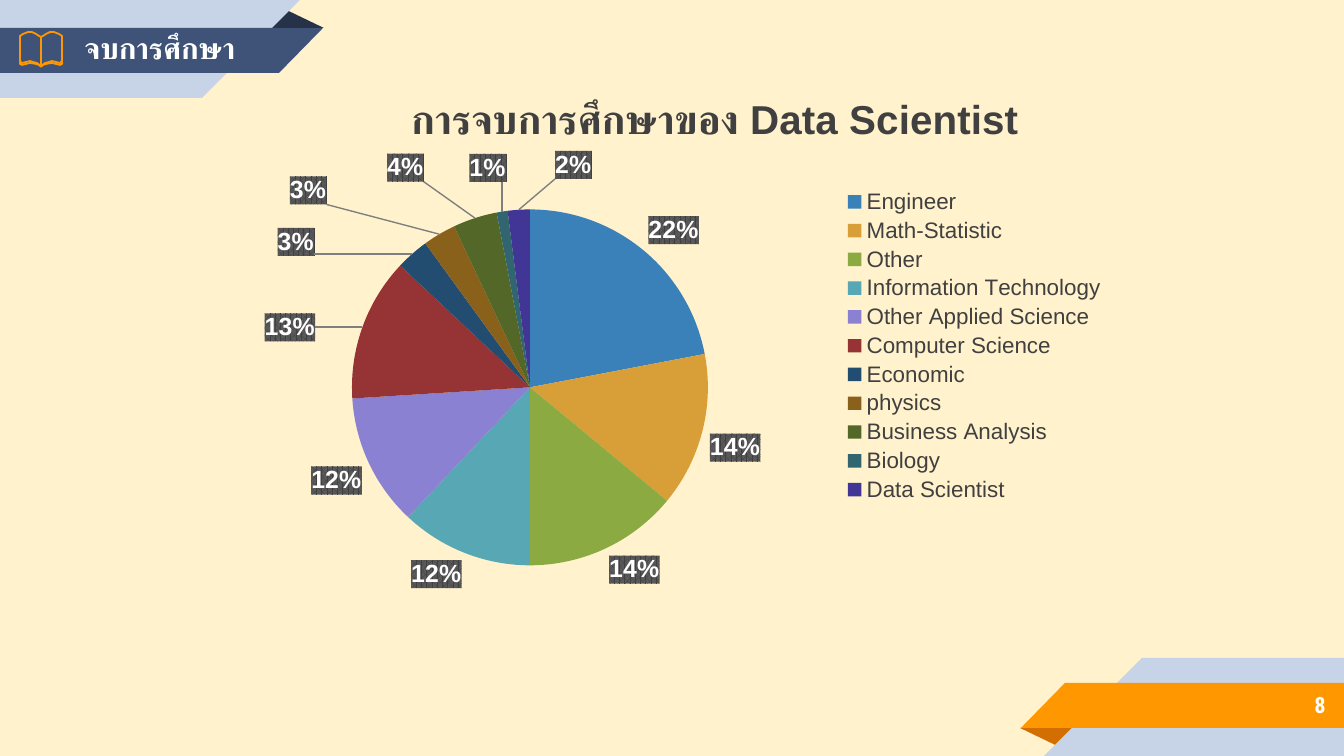
from copy import deepcopy

from lxml import etree
from pptx import Presentation
from pptx import util as u
from pptx.chart.data import CategoryChartData
from pptx.dml.color import RGBColor
from pptx.enum import chart as ch
from pptx.enum import shapes, text
from pptx.oxml import parse_xml
from pptx.oxml.ns import nsdecls, qn

PX = 914400 / 134.4
WIDE, HIGH = 1344, 756
FRAME = (224, 79, 896, 534)
HUES = {"cream": "FFF2CC", "pale": "C7D3E6", "navy": "3F5378", "night": "263248",
        "orange": "FF9800", "rust": "D26F00", "white": "FFFFFF", "ink": "404040",
        "grey": "595959", "lead": "7F7F7F", "black": "000000"}
DEGREES = [("Engineer", 22, "3A81BA"), ("Math-Statistic", 14, "D89F39"),
           ("Other", 14, "8BAB42"), ("Information Technology", 12, "57A7B5"),
           ("Other Applied Science", 12, "8B81D2"), ("Computer Science", 13, "963334"),
           ("Economic", 3, "234D70"), ("physics", 3, "89611B"),
           ("Business Analysis", 4, "536728"), ("Biology", 1, "316670"),
           ("Data Scientist", 2, "413696")]
SHIFTS = {5: (-40, 17), 6: (-93, 8), 7: (-109, -23), 8: (-49, -29), 9: (5, -22), 10: (55, -23)}
PAGE = [(0, 37), (0, 66), (-4, 63), (-8, 62), (-11, 61), (-15, 62), (-19, 63), (-21, 61),
        (-21, 36), (-18, 34), (-13, 32), (-9, 32), (-5, 34), (-2, 36)]
COVER = [(-21, 62), (-21, 64), (-19, 65), (-11, 63), (-5, 64), (-2, 65), (0, 67)]


def px(*nums):
    """Turn px lengths into EMU."""
    return [u.Emu(round(n * PX)) for n in nums]


def hue(name):
    """Give the colour for a name or a hex string."""
    return RGBColor.from_string(HUES.get(name, name))


def style(font, size, color, bold=False, face="Arial"):
    """Set size, colour, weight and face of a font."""
    font.size, font.bold, font.name = u.Pt(size), bold, face
    font.color.rgb = hue(color)


def write(frame, words, size, side, face="Arial"):
    """Write one bold white run into a text frame."""
    frame.word_wrap, frame.auto_size = True, text.MSO_AUTO_SIZE.NONE
    frame.vertical_anchor = text.MSO_ANCHOR.MIDDLE
    frame.margin_left = frame.margin_right = u.Inches(0.1)
    frame.margin_top = frame.margin_bottom = u.Inches(0.1)
    para = frame.paragraphs[0]
    para.alignment = side
    run = para.add_run()
    run.text = words
    style(run.font, size, "white", True, face)


def block(slide, kind, box, color, turn=0, flip=False):
    """Add a plain filled preset shape."""
    shape = slide.shapes.add_shape(kind, *px(*box))
    shape.shadow.inherit = False
    shape.fill.solid()
    shape.fill.fore_color.rgb = hue(color)
    shape.line.fill.background()
    shape.rotation = turn
    if flip:
        shape._element.spPr.xfrm.set("flipH", "1")
    return shape


def ribbon(slide, band, fold, end):
    """Add a folded ribbon at the top left or, mirrored, at the bottom right."""
    def spot(x, y, w, h):
        """Mirror a box for the bottom ribbon."""
        return (WIDE - x - w, HIGH - y - h, w, h) if end else (x, y, w, h)

    kind = shapes.MSO_SHAPE
    corner = block(slide, kind.ISOSCELES_TRIANGLE, spot(266, 9, 58, 19), fold, 180 if end else 0)
    corner.adjustments[0] = 0.32
    for top, long, tall, tip, color in ((0, 202, 98, 98, "pale"), (28, 279, 45, 44, band)):
        block(slide, kind.RECTANGLE, spot(0, top, long, tall), color)
        block(slide, kind.RIGHT_TRIANGLE, spot(long, top, tip, tall), color,
              0 if end else 180, True)


def book(slide):
    """Draw the outline of an open book."""
    for points, close in ((COVER, False), (PAGE, True)):
        for side in (1, -1):
            dots = [(41 + side * x, y) for x, y in points]
            pen = slide.shapes.build_freeform(*dots[0], scale=PX)
            pen.add_line_segments(dots[1:], close=close)
            shape = pen.convert_to_shape()
            shape.shadow.inherit = False
            shape.fill.background()
            shape.line.color.rgb = hue("orange")
            shape.line.width = u.Pt(0.96)


def layout(x, y, w=None, h=None, mode="edge", inner=False):
    """Make a chart layout from px lengths inside the chart frame."""
    node = parse_xml(f'<c:layout {nsdecls("c")}><c:manualLayout/></c:layout>')
    parts = [("layoutTarget", "inner")] if inner else []
    if mode == "edge":
        parts += [("xMode", mode), ("yMode", mode)]
    parts += [("x", x / FRAME[2]), ("y", y / FRAME[3])]
    if w:
        parts += [("w", w / FRAME[2]), ("h", h / FRAME[3])]
    for tag, val in parts:
        etree.SubElement(node[0], qn("c:" + tag)).set("val", str(val))
    return node


def place(host, after, node):
    """Put a layout into a chart part, behind the named child or first."""
    for old in host.findall(qn("c:layout")):
        host.remove(old)
    if after:
        host.find(qn(after)).addnext(node)
    else:
        host.insert(0, node)


def tag(series):
    """Label the slices with percentages and move the small ones away."""
    labels = series.data_labels
    labels.show_value, labels.show_percentage = False, True
    labels.number_format, labels.number_format_is_linked = "0%", False
    labels.position = ch.XL_LABEL_POSITION.OUTSIDE_END
    style(labels.font, 13.3, "white", True)
    root = labels._element
    root.find(qn("c:numFmt")).addnext(parse_xml(
        f'<c:spPr {nsdecls("c", "a")}><a:pattFill prst="pct75">'
        f'<a:fgClr><a:srgbClr val="{HUES["ink"]}"/></a:fgClr>'
        f'<a:bgClr><a:srgbClr val="{HUES["grey"]}"/></a:bgClr></a:pattFill></c:spPr>'))
    shared = [kid for kid in root if kid.tag != qn("c:showLeaderLines")]
    for spot, (index, shift) in enumerate(SHIFTS.items()):
        label = etree.Element(qn("c:dLbl"))
        etree.SubElement(label, qn("c:idx")).set("val", str(index))
        label.append(layout(*shift, mode="factor"))
        label.extend(deepcopy(kid) for kid in shared)
        root.insert(spot, label)
    root.append(parse_xml(
        f'<c:leaderLines {nsdecls("c", "a")}><c:spPr><a:ln w="9525"><a:solidFill>'
        f'<a:srgbClr val="{HUES["lead"]}"/></a:solidFill></a:ln></c:spPr></c:leaderLines>'))


def pie(slide):
    """Add the pie chart of degrees with its title and legend."""
    names, vals, colors = zip(*DEGREES)
    data = CategoryChartData()
    data.categories = names
    data.add_series("Series 1", vals)
    chart = slide.shapes.add_chart(ch.XL_CHART_TYPE.PIE, *px(*FRAME), data).chart
    style(chart.font, 10, "black")
    chart.has_title = True
    run = chart.chart_title.text_frame.paragraphs[0].add_run()
    run.text = "การจบการศึกษาของ Data Scientist"
    style(run.font, 21.6, "ink", True)
    place(chart.chart_title._element, "c:tx", layout(180, 7))
    chart.has_legend = True
    chart.legend.position = ch.XL_LEGEND_POSITION.RIGHT
    chart.legend.include_in_layout = False
    style(chart.legend.font, 12, "ink")
    place(chart.legend._element, "c:legendPos", layout(618, 106, 265, 322))
    plot = chart.plots[0]
    plot.vary_by_categories = True
    place(plot._element.getparent(), None, layout(128, 130, 356, 357, inner=True))
    series = plot.series[0]
    for index, color in enumerate(colors):
        fill = series.points[index].format.fill
        fill.solid()
        fill.fore_color.rgb = hue(color)
    tag(series)


def main():
    """Build the slide and save it."""
    deck = Presentation()
    deck.slide_width, deck.slide_height = px(WIDE, HIGH)
    slide = deck.slides.add_slide(deck.slide_layouts[5])
    slide.background.fill.solid()
    slide.background.fill.fore_color.rgb = hue("cream")
    ribbon(slide, "orange", "rust", True)
    ribbon(slide, "navy", "night", False)
    page = slide.shapes.add_textbox(*px(1120, 681, 219, 47))
    write(page.text_frame, "8", 12, text.PP_ALIGN.RIGHT, "Roboto Condensed")
    title = slide.shapes.title
    title.left, title.top, title.width, title.height = px(71, -9, 314, 113)
    write(title.text_frame, "จบการศึกษา", 16, text.PP_ALIGN.LEFT)
    slide.shapes._spTree.append(title._element)
    book(slide)
    pie(slide)
    deck.save("out.pptx")


if __name__ == "__main__":
    main()
